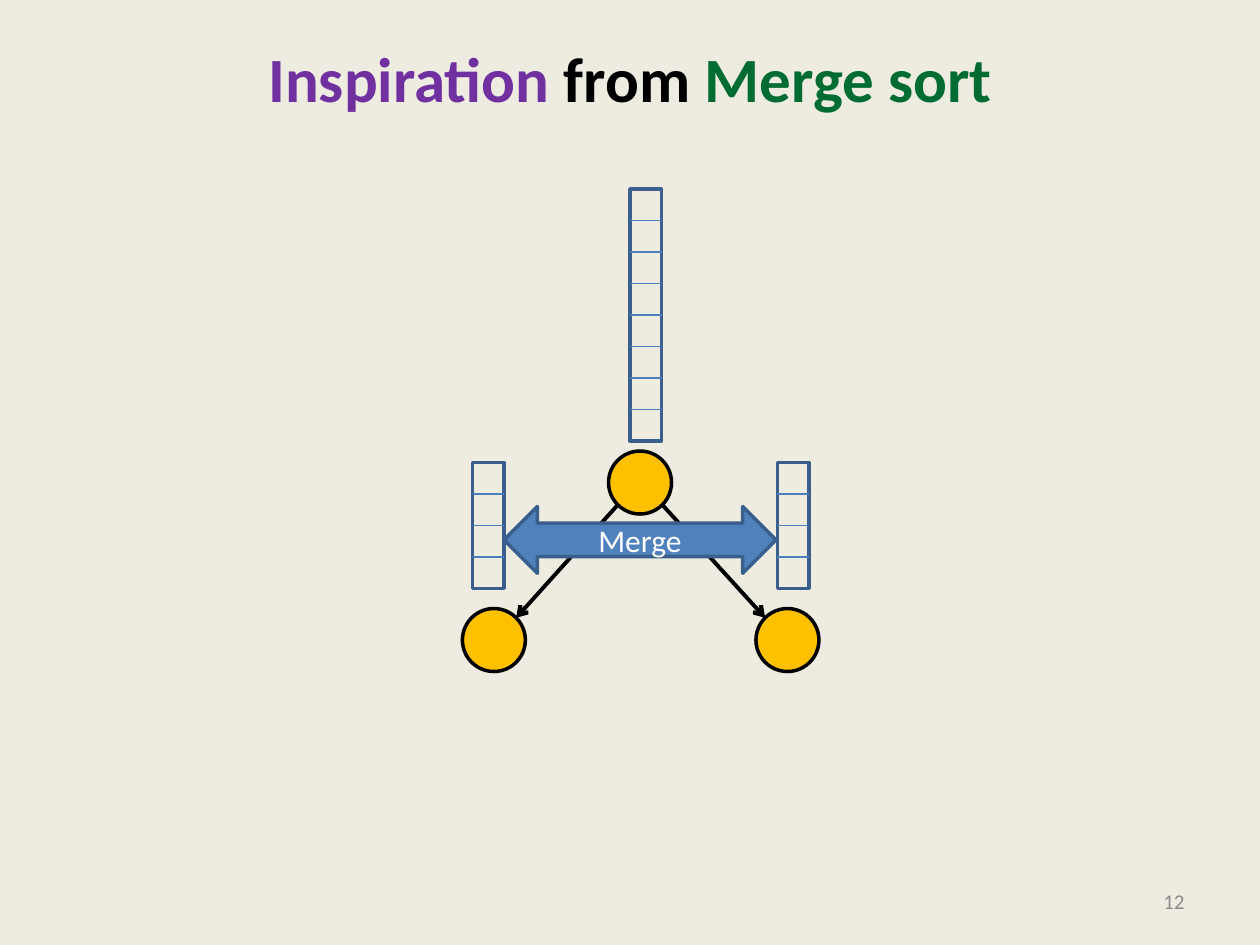
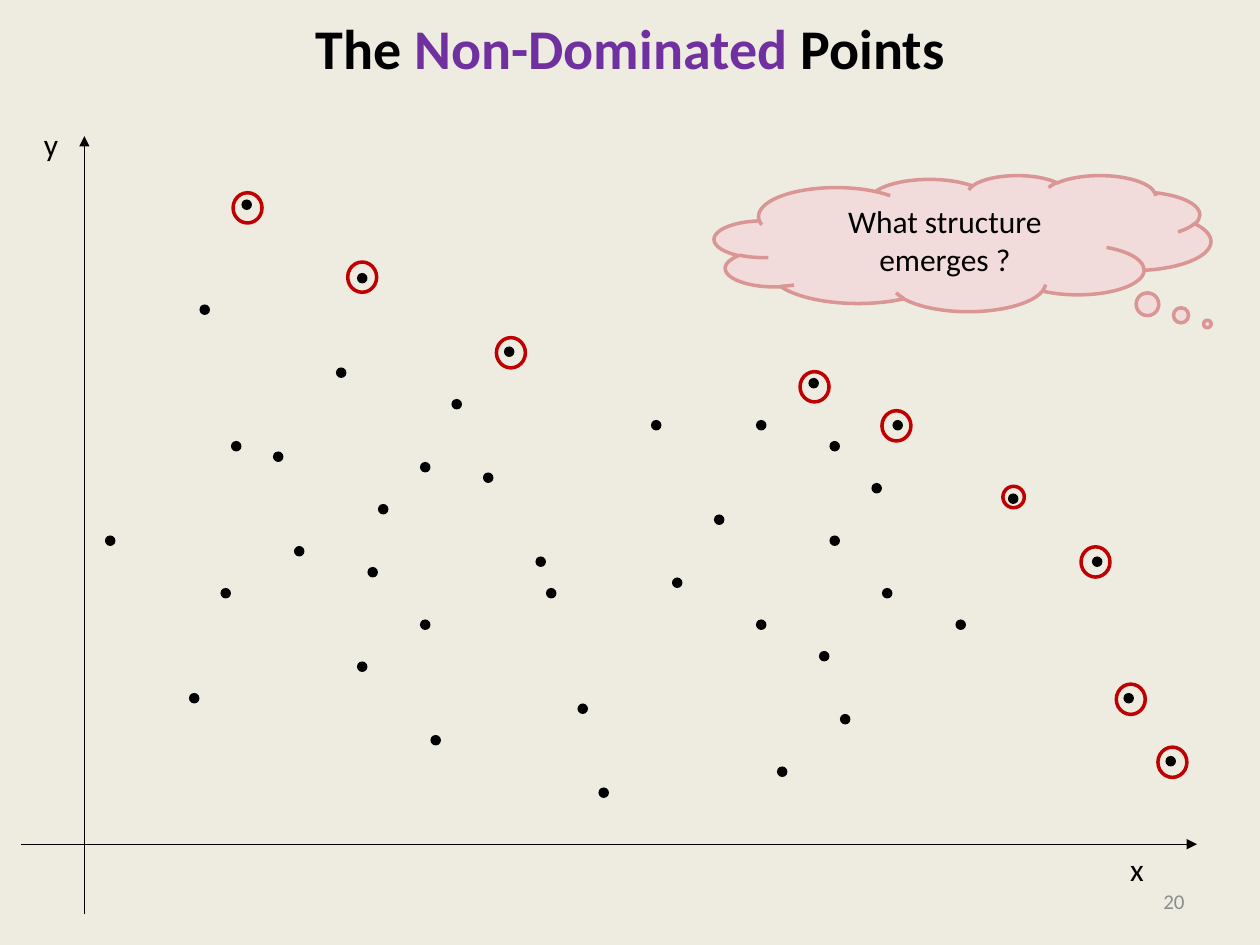
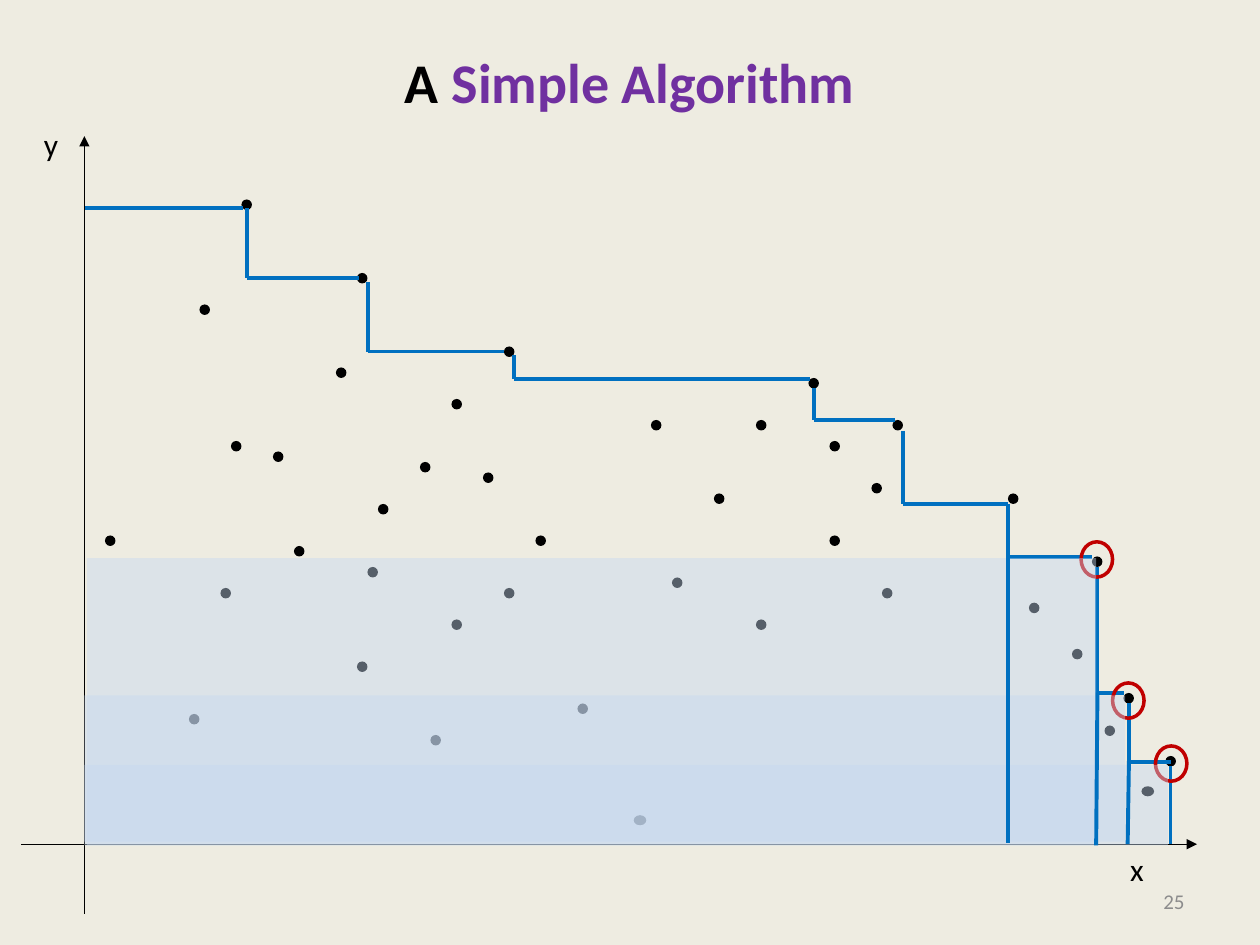
from dataclasses import dataclass
from math import sqrt

from lxml.etree import SubElement
from pptx import Presentation
from pptx.dml.color import RGBColor
from pptx.enum.shapes import MSO_CONNECTOR, MSO_SHAPE
from pptx.enum.text import MSO_ANCHOR, PP_ALIGN
from pptx.oxml.ns import qn
from pptx.util import Inches, Pt


@dataclass(frozen=True)
class Theme:
    font: str = "Calibri"
    paper: str = "EEECE1"
    ink: str = "000000"
    accent: str = "7030A0"
    green: str = "006C31"
    muted: str = "8C8C8C"
    white: str = "FFFFFF"
    node: str = "FFC000"
    arrow: str = "4F81BD"
    frame: str = "3A5F8C"
    divider: str = "4B7EBC"
    ring: str = "C00000"
    stair: str = "0070C0"
    band: str = "C6D9F1"
    cloud: str = "F2DCDB"
    cloud_edge: str = "D99694"
    body_size: float = 18
    number_size: float = 12
    thin: float = 0.75
    outline: float = 2
    thick: float = 2.25


THEME = Theme()
SLIDE_W, SLIDE_H = 10, 7.5
TITLE_BOX = (0.5, 0.3, 9, 1.25)
NUMBER_BOX = (7.17, 6.95, 2.33, 0.4)
GRID = 1 / 12  # dots sit on a twelfth-of-an-inch grid and are one unit wide

# Titles: runs with colours, size, top of the text line, page number
MERGE_TITLE = dict(runs=[("Inspiration", THEME.accent), (" from ", THEME.ink),
                         ("Merge sort", THEME.green)], size=36, text_top=0.31, page="12")
POINTS_TITLE = dict(runs=[("The ", THEME.ink), ("Non-Dominated ", THEME.accent),
                          ("Points", THEME.ink)], size=32, text_top=0.11, page="20")
ALGORITHM_TITLE = dict(runs=[("A ", THEME.ink), ("Simple Algorithm", THEME.accent)],
                       size=32, text_top=0.38, page="25")

# Merge tree: node centres, arrays as left, top, cells
NODE, CELL = 0.5, 0.25
ROOT = (5.08, 3.83)
LEAVES = [(3.92, 5.08), (6.25, 5.08)]
ARRAYS = [(6.17, 3.67, 4), (3.75, 3.67, 4), (5, 1.5, 8)]
MERGE_ARROW = (4, 4.02, 2.16, 0.53)

# Plane of points, as column and row of the grid
FRONTIER = [(23, 19), (34, 26), (48, 33), (77, 36), (85, 40),
            (96, 47), (104, 53), (107, 66), (111, 72)]
INNER = [(43, 38), (83, 46), (21, 56), (79, 51), (41, 70), (36, 48), (32, 35), (26, 43),
         (28, 52), (22, 42), (34, 63), (19, 29), (79, 42), (72, 40), (72, 59), (46, 45),
         (10, 51), (84, 56), (35, 54), (40, 44), (64, 55), (62, 40), (55, 67)]
INNER_BEFORE = [(51, 53), (40, 59), (80, 68), (91, 59), (78, 62), (74, 73), (18, 66),
                (52, 56), (57, 75), (68, 49)]
INNER_AFTER = [(51, 51), (43, 59), (48, 56), (18, 68), (68, 47), (98, 57.4),
               (102.1, 61.8), (105.2, 69.1)]
WIDE_DOTS = [(9.06, 6.24, 0.1, 0.08), (5.03, 6.47, 0.1, 0.08)]
AXES = [((0.67, 7.25), (0.67, 1.08)), ((0.17, 6.7), (9.5, 6.7))]
AXIS_LABELS = [("y", (0.25, 0.94, 0.32, 0.4)), ("x", (8.87, 6.7, 0.31, 0.4))]

# Rings: left and top of each, by size
RINGS_ALL = {
    (0.23, 0.24): [(1.85, 1.53), (2.76, 2.08), (3.94, 2.68), (6.35, 2.95), (7, 3.26),
                   (8.58, 4.34), (8.86, 5.43), (9.19, 5.93)],
    (0.17, 0.17): [(7.96, 3.86)],
}
RINGS_FOUND = {(0.25, 0.28): [(9.17, 5.92), (8.83, 5.42), (8.58, 4.3)]}
CLOUD = dict(box=(5.67, 1.39, 3.94, 1.08), tail=(0.493, 0.594),
             text="What structure emerges ?")

# Staircase: treads as x, x, y and risers as x, y, y
TREADS = [(0.67, 1.93, 1.65), (1.96, 2.85, 2.21), (2.92, 4, 2.79), (4.08, 6.43, 3.01),
          (6.46, 7.1, 3.33), (7.17, 8, 4), (8, 8.67, 4.42), (8.71, 8.92, 5.5),
          (8.95, 9.29, 6.05)]
RISERS = [(1.96, 1.65, 2.21), (2.92, 2.24, 2.79), (4.08, 2.82, 3.01), (6.46, 3.08, 3.33),
          (7.17, 3.42, 4), (8, 4, 4.42), (8.71, 4.5, 5.5), (8.96, 5.58, 6.04),
          (9.29, 6.08, 6.7)]
BANDS = [(0.67, 6.07, 8.6, 0.64), (0.67, 5.52, 8.26, 1.16), (0.69, 4.43, 8.01, 2.28)]
BAND_OPACITY = 44
DROPS = [((8.96, 6.04), (8.95, 6.7)), ((8.71, 5.5), (8.7, 6.71)), ((8, 4.41), (8, 6.69))]


# Drawing helpers
def inches(values):
    return [Inches(value) for value in values]


def add_run(paragraph, text, size, color, bold=False):
    run = paragraph.add_run()
    run.text = text
    run.font.name, run.font.size, run.font.bold = THEME.font, Pt(size), bold
    run.font.color.rgb = RGBColor.from_string(color)


def draw_shape(slide, preset, box, fill=None, line=None, opacity=None):
    shape = slide.shapes.add_shape(preset, *inches(box))
    shape.shadow.inherit = False
    if fill:
        shape.fill.solid()
        shape.fill.fore_color.rgb = RGBColor.from_string(fill)
    else:
        shape.fill.background()
    if opacity:
        color = shape.element.spPr.find(qn("a:solidFill"))[0]
        SubElement(color, qn("a:alpha"), val=str(opacity * 1000))
    if line:
        shape.line.color.rgb = RGBColor.from_string(line)
        shape.line.width = Pt(THEME.outline)
    else:
        shape.line.fill.background()
    return shape


def write_centred(shape, text, color):
    shape.text_frame.word_wrap = True
    shape.text_frame.vertical_anchor = MSO_ANCHOR.MIDDLE
    paragraph = shape.text_frame.paragraphs[0]
    paragraph.alignment = PP_ALIGN.CENTER
    add_run(paragraph, text, THEME.body_size, color)


def draw_line(slide, start, end, color, width, tip=None):
    line = slide.shapes.add_connector(MSO_CONNECTOR.STRAIGHT, *inches(start + end))
    line.line.color.rgb = RGBColor.from_string(color)
    line.line.width = Pt(width)
    if tip:
        SubElement(line.line._get_or_add_ln(), qn("a:tailEnd"), type=tip)
    SubElement(line.element.spPr, qn("a:effectLst"))


def write_label(slide, text, box, size, color, align=PP_ALIGN.LEFT,
                anchor=MSO_ANCHOR.TOP, wrap=False):
    frame = slide.shapes.add_textbox(*inches(box)).text_frame
    frame.word_wrap, frame.vertical_anchor = wrap, anchor
    frame.paragraphs[0].alignment = align
    add_run(frame.paragraphs[0], text, size, color)


# Shared parts
def start_slide(deck, runs, size, text_top, page):
    slide = deck.slides.add_slide(deck.slide_layouts.get_by_name("Title Only"))
    title = slide.shapes.title
    left, top, width, height = TITLE_BOX
    bottom, top = top + height, min(top, text_top)
    title.left, title.top, title.width, title.height = inches((left, top, width, bottom - top))
    frame = title.text_frame
    frame.word_wrap, frame.vertical_anchor = True, MSO_ANCHOR.TOP
    frame.margin_top = Inches(text_top - top)
    frame.paragraphs[0].alignment = PP_ALIGN.CENTER
    for text, color in runs:
        add_run(frame.paragraphs[0], text, size, color, bold=True)
    write_label(slide, page, NUMBER_BOX, THEME.number_size, THEME.muted,
                PP_ALIGN.RIGHT, MSO_ANCHOR.MIDDLE, wrap=True)
    return slide


def draw_dots(slide, cells):
    for column, row in cells:
        box = (column * GRID, row * GRID, GRID, GRID)
        draw_shape(slide, MSO_SHAPE.OVAL, box, THEME.ink)


def draw_axes(slide):
    for start, end in AXES:
        draw_line(slide, start, end, THEME.ink, THEME.thin, "triangle")
    for name, box in AXIS_LABELS:
        write_label(slide, name, box, THEME.body_size, THEME.ink)


def draw_rings(slide, rings):
    for size, corners in rings.items():
        for corner in corners:
            draw_shape(slide, MSO_SHAPE.OVAL, corner + size, line=THEME.ring)


# Slides
def build_merge_slide(deck):
    slide = start_slide(deck, **MERGE_TITLE)
    for x, y in [ROOT, *LEAVES]:
        box = (x - NODE / 2, y - NODE / 2, NODE, NODE)
        draw_shape(slide, MSO_SHAPE.OVAL, box, THEME.node, THEME.ink)
    reach = NODE / 2 / sqrt(2)  # edges meet the nodes on their diagonals
    for x, y in LEAVES:
        side = reach if x > ROOT[0] else -reach
        draw_line(slide, (ROOT[0] + side, ROOT[1] + reach), (x - side, y - reach),
                  THEME.ink, THEME.thick, "arrow")
    for left, top, cells in ARRAYS:
        draw_shape(slide, MSO_SHAPE.RECTANGLE, (left, top, CELL, cells * CELL),
                   line=THEME.frame)
        for index in range(1, cells):
            y = top + index * CELL
            draw_line(slide, (left, y), (left + CELL, y), THEME.divider, THEME.thin)
    merge = draw_shape(slide, MSO_SHAPE.LEFT_RIGHT_ARROW, MERGE_ARROW,
                       THEME.arrow, THEME.frame)
    write_centred(merge, "Merge", THEME.white)


def build_points_slide(deck):
    slide = start_slide(deck, **POINTS_TITLE)
    draw_dots(slide, FRONTIER + INNER + INNER_BEFORE)
    draw_axes(slide)
    draw_rings(slide, RINGS_ALL)
    cloud = draw_shape(slide, MSO_SHAPE.CLOUD_CALLOUT, CLOUD["box"],
                       THEME.cloud, THEME.cloud_edge)
    for index, offset in enumerate(CLOUD["tail"]):
        cloud.adjustments[index] = offset
    write_centred(cloud, CLOUD["text"], THEME.ink)


def build_algorithm_slide(deck):
    slide = start_slide(deck, **ALGORITHM_TITLE)
    draw_dots(slide, FRONTIER + INNER + INNER_AFTER)
    for box in WIDE_DOTS:
        draw_shape(slide, MSO_SHAPE.OVAL, box, THEME.ink)
    steps = [((x1, y), (x2, y)) for x1, x2, y in TREADS]
    steps += [((x, y1), (x, y2)) for x, y1, y2 in RISERS]
    for start, end in steps:
        draw_line(slide, start, end, THEME.stair, THEME.thick)
    draw_rings(slide, RINGS_FOUND)
    draw_axes(slide)
    # Bands veil what lies below each point found
    for box in BANDS:
        draw_shape(slide, MSO_SHAPE.RECTANGLE, box, THEME.band, opacity=BAND_OPACITY)
    for start, end in DROPS:
        draw_line(slide, start, end, THEME.stair, THEME.thick)


def main():
    deck = Presentation()
    deck.slide_width, deck.slide_height = inches((SLIDE_W, SLIDE_H))
    paper = deck.slide_master.background.fill
    paper.solid()
    paper.fore_color.rgb = RGBColor.from_string(THEME.paper)
    build_merge_slide(deck)
    build_points_slide(deck)
    build_algorithm_slide(deck)
    deck.save("out.pptx")


if __name__ == "__main__":
    main()
